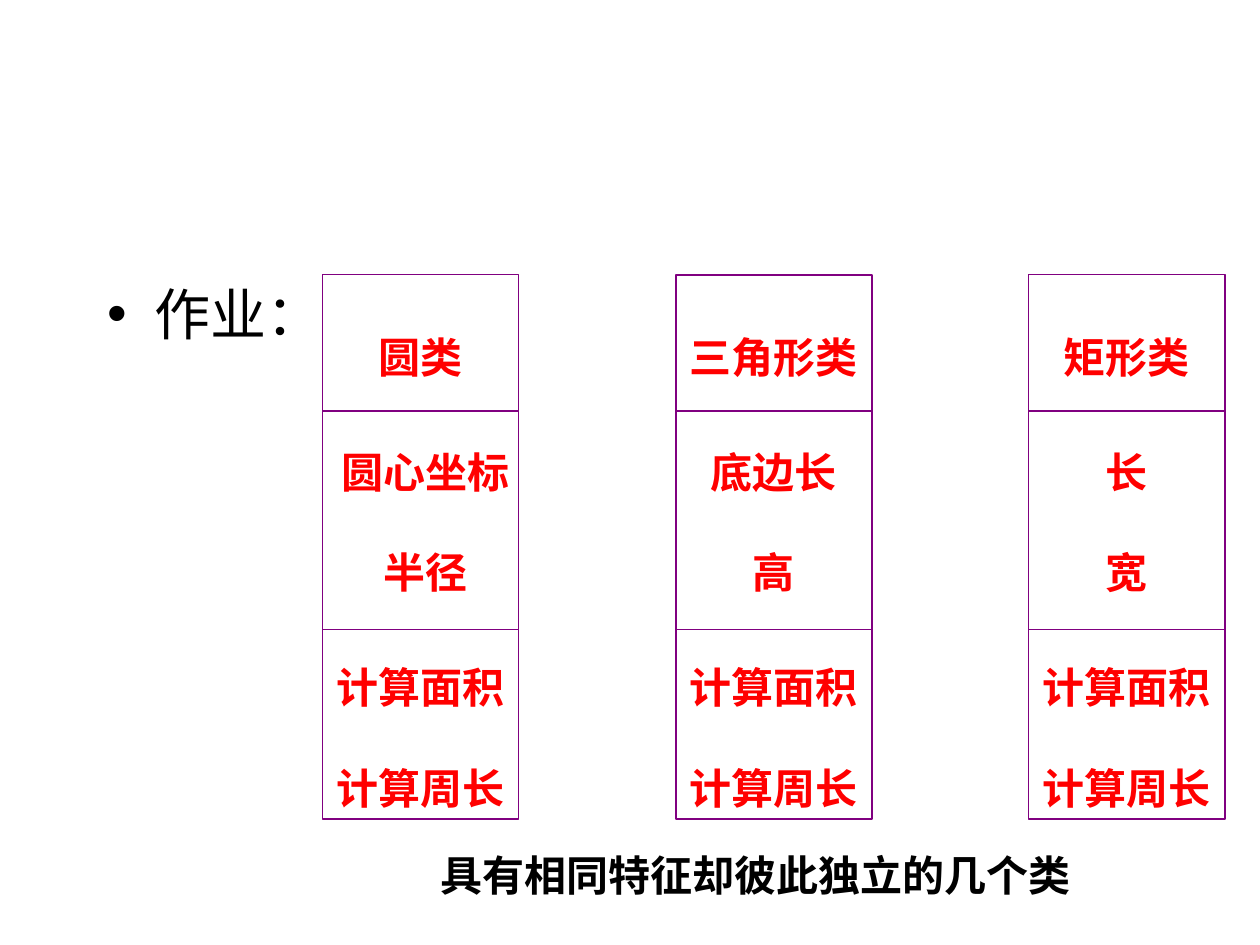
from lxml import etree
from pptx import Presentation
from pptx.dml.color import RGBColor
from pptx.enum.shapes import MSO_CONNECTOR, MSO_SHAPE
from pptx.enum.text import MSO_ANCHOR, MSO_AUTO_SIZE, PP_ALIGN
from pptx.oxml.ns import qn
from pptx.util import Pt

RECT, LINE = MSO_SHAPE.RECTANGLE, MSO_CONNECTOR.STRAIGHT
MIDDLE, CENTER = MSO_ANCHOR.MIDDLE, PP_ALIGN.CENTER
TOP, GROW = MSO_ANCHOR.TOP, MSO_AUTO_SIZE.SHAPE_TO_FIT_TEXT
BLACK = RGBColor(0, 0, 0)
RED = RGBColor(255, 0, 0)
PURPLE = RGBColor(128, 0, 128)
BODY = {"size": Pt(32), "bold": False}
BOLD = {"size": Pt(24), "bold": True}

LEFT, UPPER, WIDE, HIGH, PITCH = 184.3, 157, 112.2, 311, 201.8
RULES = (234.9, 359.9)
SHARED = ["计算面积", "计算周长"]
CLASSES = [
    ("圆类", [" 圆心坐标", " 半径"], 0.75),
    ("三角形类", ["底边长", "高"], 1.25),
    ("矩形类", ["长", "宽"], 0.75),
]


def apply(item, values):
    for name, value in values.items():
        setattr(item, name, value)


class Page:
    """Holds the text style and the current slide."""

    def __init__(self, slide, face):
        self.slide, self.face = slide, face
        self.shapes = slide.shapes

    def put(self, para, text, color, style):
        run = para.add_run()
        run.text = text
        apply(run.font, {"name": self.face, **style})
        run.font.color.rgb = color

    def body(self, text, *area):
        hold = self.slide.placeholders[1]
        apply(hold, dict(zip(("left", "top", "width", "height"), map(Pt, area))))
        para = hold.text_frame.paragraphs[0]
        para.space_before = Pt(0)
        self.put(para, text, BLACK, BODY)

    def box(self, lines, formats, weight, *area):
        shape = self.shapes.add_shape(RECT, *map(Pt, area))
        shape.shadow.inherit = False
        shape.fill.background()
        shape.line.color.rgb = PURPLE
        shape.line.width = Pt(weight)
        frame = shape.text_frame
        apply(frame, {"margin_left": 0, "margin_right": 0, "margin_top": 0,
                      "margin_bottom": 0, "vertical_anchor": MIDDLE,
                      "word_wrap": True})
        for i, text in enumerate(lines):
            para = frame.add_paragraph() if i else frame.paragraphs[0]
            apply(para, {"alignment": CENTER, "line_spacing": 2.0,
                         **formats.get(i, {})})
            self.put(para, text, RED, BOLD)

    def rule(self, left, top, width):
        line = self.shapes.add_connector(
            LINE, Pt(left), Pt(top), Pt(left + width), Pt(top))
        line.line.color.rgb = PURPLE
        line.line.width = Pt(0.75)
        etree.SubElement(line._element.spPr, qn("a:effectLst"))

    def label(self, text, *area):
        frame = self.shapes.add_textbox(*map(Pt, area)).text_frame
        apply(frame, {"word_wrap": False, "auto_size": GROW,
                      "vertical_anchor": TOP})
        self.put(frame.paragraphs[0], text, BLACK, BOLD)


def main():
    deck = Presentation()
    deck.slide_width, deck.slide_height = Pt(720), Pt(540)
    slide = deck.slides.add_slide(deck.slide_layouts[1])
    title = slide.shapes.title._element
    title.getparent().remove(title)

    page = Page(slide, "Times New Roman")
    page.body("作业：", 54, 156, 612, 324)
    gaps = {0: {"space_after": Pt(7.7)}, 3: {"space_before": Pt(7.7)}}
    for i, (name, fields, weight) in enumerate(CLASSES):
        left = LEFT + i * PITCH
        page.box([name, *fields, *SHARED], gaps, weight, left, UPPER, WIDE, HIGH)
        for top in RULES:
            page.rule(left, top, WIDE)
    page.label("具有相同特征却彼此独立的几个类", 244.8, 481.7, 374.4, 36)
    deck.save("out.pptx")


if __name__ == "__main__":
    main()
